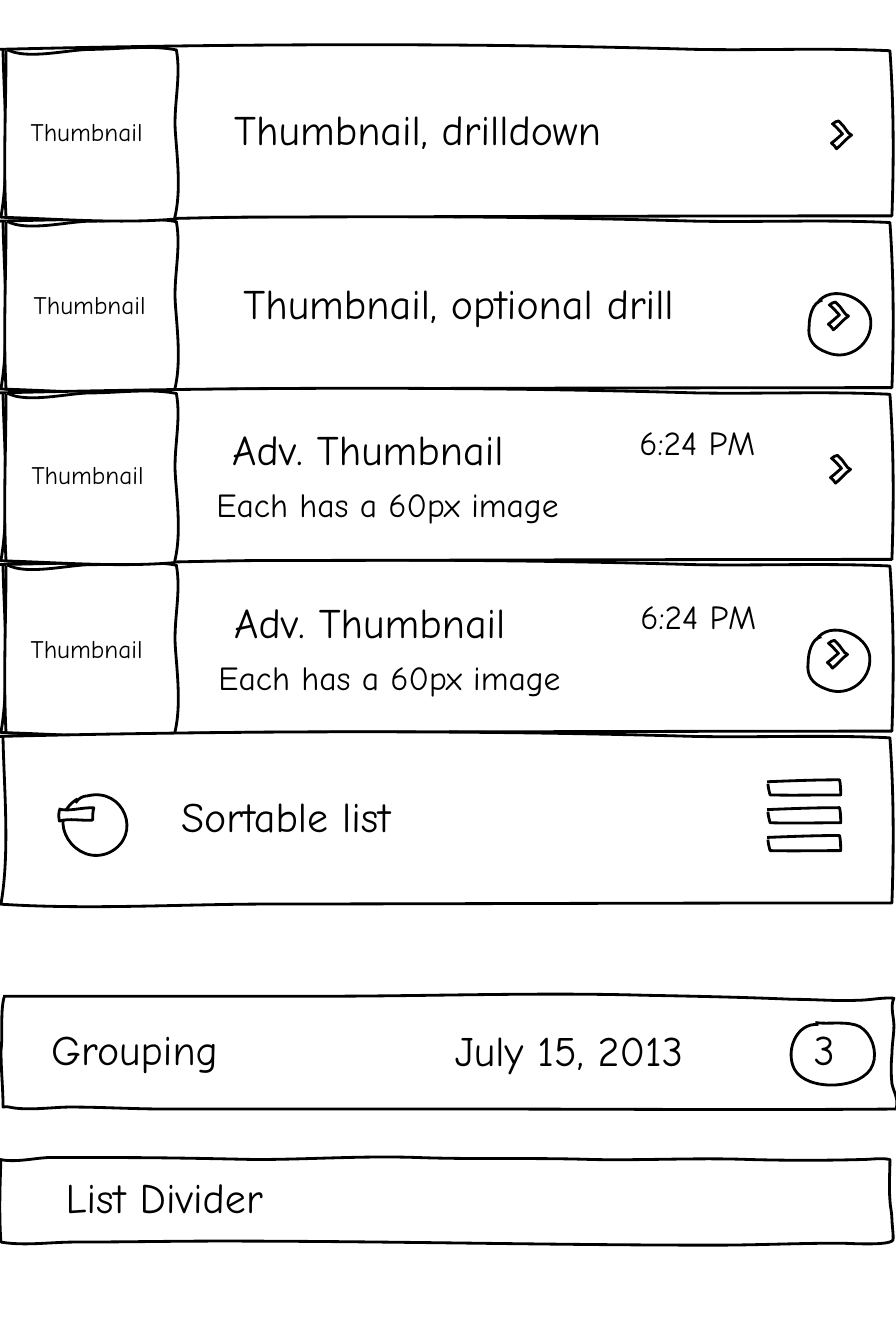
from dataclasses import dataclass

from lxml import etree
from pptx import Presentation
from pptx.dml.color import RGBColor
from pptx.enum.text import MSO_ANCHOR, MSO_AUTO_SIZE, PP_ALIGN
from pptx.oxml.ns import qn
from pptx.shapes.autoshape import Shape
from pptx.slide import Slide
from pptx.util import Pt

CENTER = PP_ALIGN.CENTER
MIDDLE = MSO_ANCHOR.MIDDLE
GROW = MSO_AUTO_SIZE.SHAPE_TO_FIT_TEXT

COLORS = {"ink": "000000", "paper": "FFFFFF"}
FONT = "Comic Neue"
ROW_TOP, ROW_PITCH = 35.3, 122.75
ROW_ORDER = (1, 3, 4, 0, 2)
THUMBNAIL_ROWS = 4
BAR_TOP, BAR_PITCH = 557.3, 19.9


@dataclass(frozen=True)
class Outline:
    start: tuple[float, float]
    curves: tuple[tuple[float, ...], ...]


@dataclass(frozen=True)
class Label:
    text: str
    left: float
    top: float
    width: float
    size: float = 30


ROW = Outline((-0.7, 0), (
    (164.2, -4, 331.2, -4.8, 496.1, 0),
    (542.9, 0.9, 589, -1.2, 635.8, 1),
    (638.6, 41, 638.6, 80, 637.2, 119),
    (489.6, 119, 341.3, 119.6, 193.7, 119.8),
    (130.3, 119.8, 64.1, 124, 0.7, 119.9),
    (7.2, 82.8, 2.9, 37.5, 2.2, 1),
))
THUMBNAIL = Outline((5, 0), (
    (18.7, 7.9, 49, 0, 64.8, 0),
    (84.2, 0, 107.3, -3.4, 126, 0.4),
    (129.6, 19.9, 123.8, 40, 125.3, 59.4),
    (126.7, 78.8, 129.6, 102.2, 124.6, 121.3),
    (85, 124.6, 43.9, 121.3, 4.3, 120.1),
    (2.2, 80.6, 4.3, 40.3, 4.3, 0.7),
))
CHEVRON = Outline((0.7, 2.2), (
    (0.7, 4.3, 1.4, 1.4, 2.9, 1.4),
    (5.8, 0.7, 4.3, 0, 6.5, 2.2),
    (9.4, 4.3, 11.5, 10.1, 14.4, 10.8),
    (10.8, 13, 7.2, 18, 3.6, 20.6),
    (2.9, 18.8, 1.4, 18, 0, 16.6),
    (2.6, 14.8, 5.2, 12.2, 7.9, 10),
    (5.6, 7.4, 3.4, 5, 0.7, 2.7),
))
DRILL_CIRCLE = Outline((10.8, 12.2), (
    (3.6, 13.7, 1.4, 24.5, 1.4, 30.2),
    (0, 40.3, 4.3, 46.1, 14.4, 49.7),
    (30.2, 56.2, 46.8, 43.2, 45.4, 26.6),
    (43.9, 10.1, 16.6, 0, 7.2, 14.4),
))
DELETE_CIRCLE = Outline((55.4, 571), (
    (31, 585.4, 54, 620.6, 78.5, 609.1),
    (102.2, 596.9, 88.6, 562.3, 62.6, 568.8),
    (59.8, 568.8, 56.2, 570.2, 54, 573.8),
))
MINUS = Outline((41.8, 578.2), (
    (49.7, 580.3, 59, 576.7, 67, 577.4),
    (66.2, 580.3, 66.2, 583.2, 66.2, 586.1),
    (58.3, 586.8, 49.7, 584.6, 42.5, 586.8),
    (41.8, 583.9, 41.8, 581.8, 42.5, 578.9),
))
BADGE = Outline((582.5, 730.8), (
    (591.1, 732.2, 606.2, 729.4, 614.2, 733.7),
    (622.8, 738.7, 627.1, 751.7, 623.5, 761),
    (617, 779, 576, 780.5, 567.4, 763.9),
    (560.9, 751, 568.8, 730.8, 584.6, 732.2),
))
HANDLE_BAR = Outline((0, 1.4), (
    (17.3, 0.7, 35.3, 0, 51.8, 0),
    (52.6, 3.6, 52.6, 7.2, 52.6, 10.8),
    (35.3, 10.8, 18.7, 11.2, 2.2, 10.8),
    (1.4, 7.9, 0.7, 5, 0.7, 2.9),
))
DIVIDER = Outline((0, 0), (
    (10.8, 2.2, 23, -0.7, 33.8, -1.4),
    (50.4, -1.4, 67, -1.4, 84.2, -1.4),
    (116.6, -1.4, 149, -0.7, 182.2, 0),
    (221, 0, 259.9, -2.9, 299.5, -1.4),
    (340.6, 0, 381.6, -1.4, 423.4, 0),
    (460.8, 0.7, 498.2, -1.4, 535.7, 0),
    (561.6, 0.7, 589.7, 0.7, 615.6, 0),
    (622.8, 0, 629.3, -1.4, 635.8, 0),
    (635.8, 8.6, 635, 19.4, 635.8, 28.8),
    (635.8, 33.1, 637.2, 37.4, 637.2, 42.5),
    (637.2, 46.1, 638.6, 55.4, 637.9, 57.6),
    (635, 61.9, 606.2, 59.8, 599.8, 59.8),
    (570.2, 59.8, 540, 61.2, 510.5, 61.2),
    (393.1, 61.2, 275.8, 58.3, 157.7, 58.3),
    (123.1, 58.3, 87.8, 59, 53.3, 59),
    (36, 59, 17.3, 61.9, 0.7, 59),
    (-0.7, 39.6, 0, 19.4, 0.7, 0),
))
GROUPING = Outline((2.2, 0), (
    (77.8, 0, 153.4, 0, 229, 0),
    (306.7, 0, 383.8, -2.9, 460.8, -0.7),
    (496.8, 0, 531.4, 0.7, 566.6, 2.2),
    (581.8, 2.2, 597.6, 3.6, 612.7, 2.9),
    (621.4, 2.9, 630, 0.7, 638.6, 1.4),
    (635.8, 7.2, 638.6, 15.1, 638.6, 20.9),
    (638.6, 27.4, 637.2, 34.6, 637.2, 41),
    (636.5, 48.2, 636.5, 55.4, 637.2, 62.6),
    (638.6, 69.1, 642.2, 73.4, 640.1, 80.6),
    (537.1, 81.4, 434.2, 80.6, 330.5, 80.6),
    (259.2, 80.6, 188.6, 80.6, 118.1, 80.6),
    (95.8, 80.6, 72.7, 79.2, 50.4, 79.2),
    (37.4, 79.2, 19.4, 82.1, 6.5, 79.2),
    (5.8, 78.5, 3.6, 79.2, 2.2, 79.2),
    (2.2, 66.2, 0.7, 52.6, 0.7, 38.9),
    (2.2, 26.6, 0, 12.2, 2.9, 0.7),
))

CHEVRONS = ((594, 85.7), (591.8, 215.1), (593.3, 324.7), (591.1, 456.9))
DRILL_CIRCLES = ((576.7, 202.3), (576, 442.8))
LABELS = (
    Label("Thumbnail, drilldown", 145.4, 71.3, 306),
    Label("Thumbnail, optional drill", 151.9, 195.1, 351.4),
    Label("Adv. Thumbnail", 149.8, 299.5, 226.1),
    Label("Adv. Thumbnail", 151.2, 423.4, 226.1),
    Label("Thumbnail", 18.7, 79.9, 86.4, 18),
    Label("Thumbnail", 20.9, 203.8, 86.4, 18),
    Label("Thumbnail", 19.4, 325.4, 86.4, 18),
    Label("Thumbnail", 18.7, 450, 86.4, 18),
    Label("6:24 PM", 450, 298.8, 96.5, 24),
    Label("6:24 PM", 450.7, 422.6, 96.5, 24),
    Label("Each has a 60px image", 151.2, 342.7, 251.3, 24),
    Label("Each has a 60px image", 152.6, 466.6, 251.3, 24),
    Label("Sortable list", 118.1, 562.3, 172.1),
    Label("Grouping", 25.9, 728.6, 140.4),
    Label("July 15, 2013", 315.4, 729.4, 182.2),
    Label("3", 577.4, 728.6, 23),
    Label("List Divider", 36, 834.5, 162.7),
)


def bend_segments(shape: Shape, outline: Outline, left: float, top: float) -> None:
    segments = list(shape.element.iter(qn("a:lnTo")))
    for segment, curve in zip(segments, outline.curves):
        bend = etree.Element(qn("a:cubicBezTo"))
        for x, y in zip(curve[::2], curve[1::2]):
            etree.SubElement(bend, qn("a:pt"), x=str(Pt(left + x) - shape.left),
                             y=str(Pt(top + y) - shape.top))
        segment.getparent().replace(segment, bend)


def draw_outline(slide: Slide, outline: Outline, left: float = 0, top: float = 0) -> Shape:
    corners = [outline.start, *(curve[4:] for curve in outline.curves)]
    points = [(Pt(left + x), Pt(top + y)) for x, y in corners]
    builder = slide.shapes.build_freeform(*points[0], scale=1.0)
    builder.add_line_segments(points[1:], close=False)
    shape = builder.convert_to_shape()
    bend_segments(shape, outline, left, top)
    shape.shadow.inherit = False
    shape.fill.solid()
    shape.fill.fore_color.rgb = RGBColor.from_string(COLORS["paper"])
    shape.line.color.rgb = RGBColor.from_string(COLORS["ink"])
    shape.line.width = Pt(2)
    return shape


def add_text(slide: Slide, text: str, *, left: float, top: float, width: float,
             size: float, color: str = "ink") -> Shape:
    shape = slide.shapes.add_textbox(Pt(left), Pt(top), Pt(width), Pt(1.2 * size + 5.8))
    frame = shape.text_frame
    frame.word_wrap = False
    frame.auto_size = GROW
    frame.vertical_anchor = MIDDLE
    frame.margin_left = frame.margin_right = frame.margin_top = frame.margin_bottom = Pt(2.9)
    paragraph = frame.paragraphs[0]
    paragraph.alignment = CENTER
    run = paragraph.add_run()
    run.text = text
    run.font.name = FONT
    run.font.size = Pt(size)
    run.font.color.rgb = RGBColor.from_string(COLORS[color])
    return shape


def main() -> None:
    presentation = Presentation()
    presentation.slide_width, presentation.slide_height = Pt(640.08), Pt(960.48)
    slide = presentation.slides.add_slide(presentation.slide_layouts[6])
    draw_outline(slide, DIVIDER, top=828.7)
    draw_outline(slide, GROUPING, top=712)
    for row in ROW_ORDER:
        top = ROW_TOP + row * ROW_PITCH
        draw_outline(slide, ROW, top=top)
        if row < THUMBNAIL_ROWS:
            draw_outline(slide, THUMBNAIL, top=top)
    for outline, places in ((DRILL_CIRCLE, DRILL_CIRCLES), (CHEVRON, CHEVRONS)):
        for left, top in places:
            draw_outline(slide, outline, left, top)
    for outline in (DELETE_CIRCLE, MINUS, BADGE):
        draw_outline(slide, outline)
    for bar in range(3):
        draw_outline(slide, HANDLE_BAR, 548, BAR_TOP + bar * BAR_PITCH)
    for label in LABELS:
        add_text(slide, label.text, left=label.left, top=label.top,
                 width=label.width, size=label.size)
    presentation.save("out.pptx")


if __name__ == "__main__":
    main()
